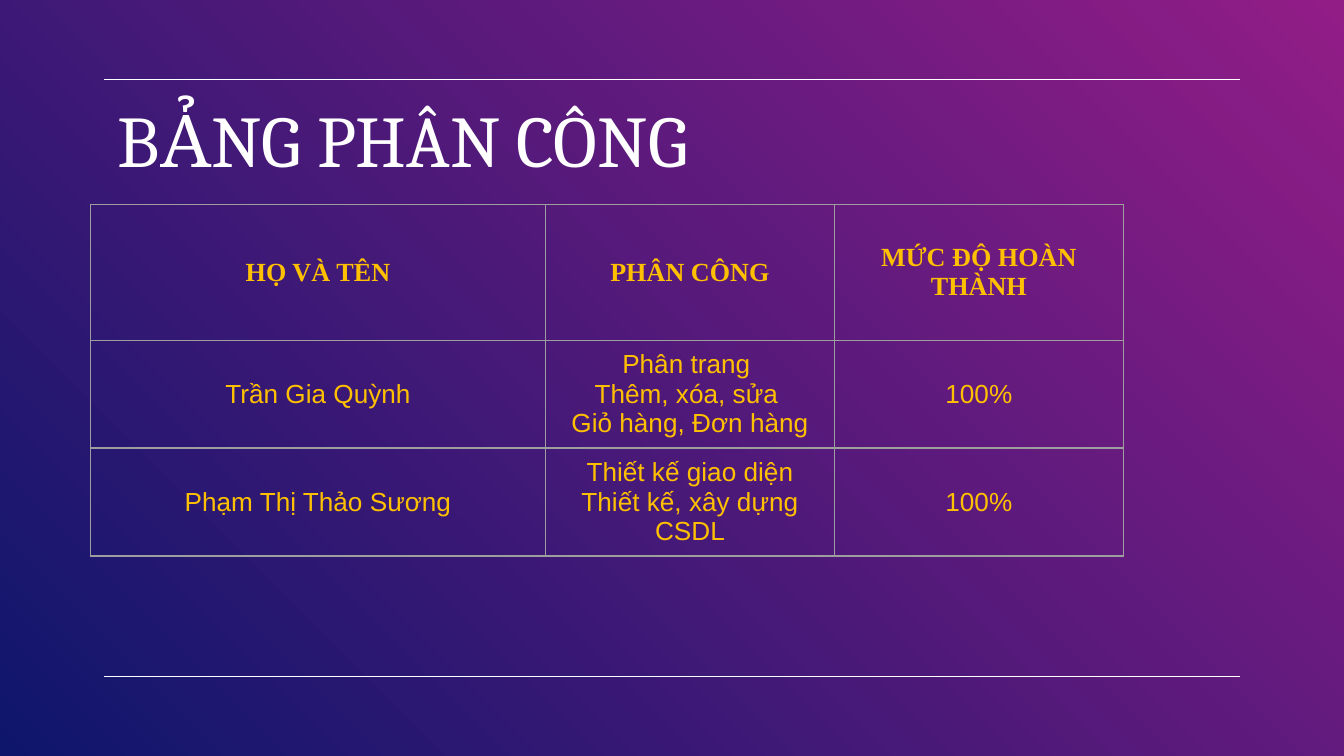
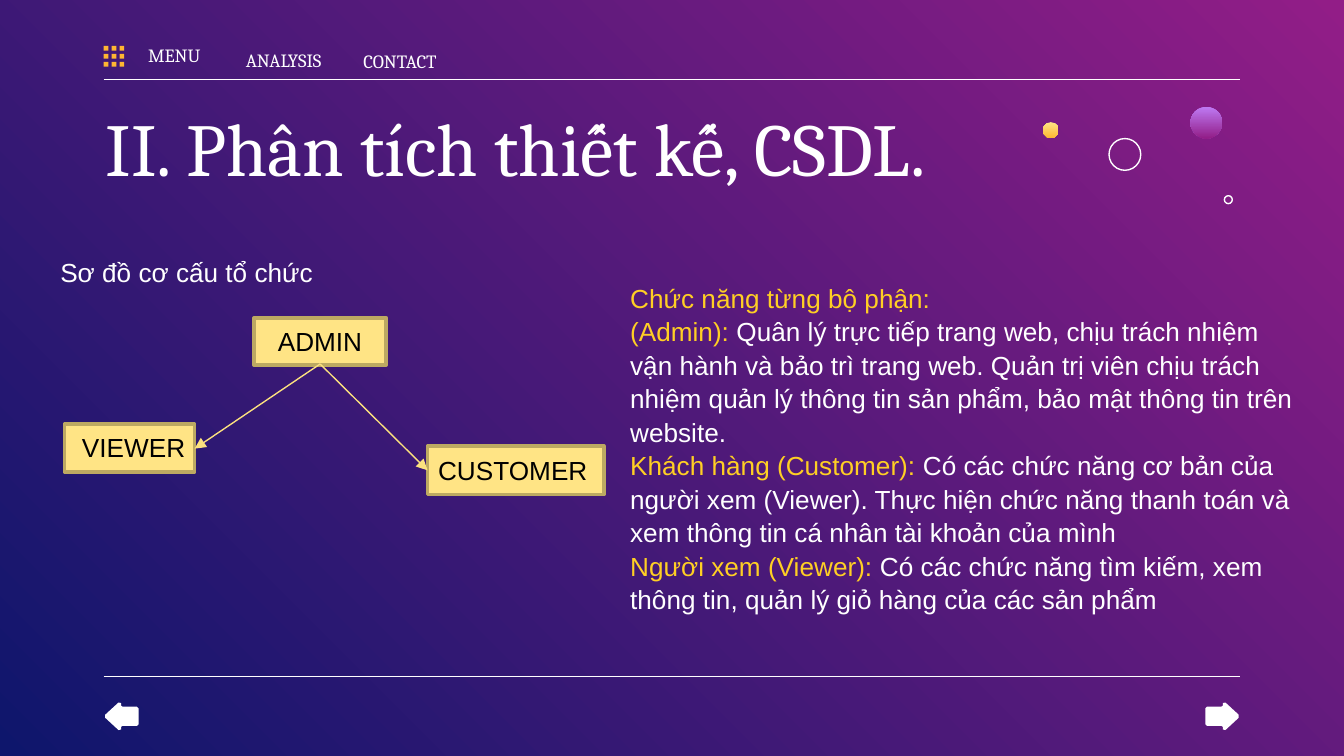
"""Build two slides: a task assignment table and an organisation diagram."""
import dataclasses
import itertools
import typing

import lxml.etree
import pptx
import pptx.dml.color
import pptx.dml.fill
import pptx.enum.shapes
import pptx.enum.text
import pptx.oxml.ns
import pptx.presentation
import pptx.shapes.autoshape
import pptx.shapes.connector
import pptx.slide
import pptx.util

Cm = pptx.util.Cm
Pt = pptx.util.Pt
qn = pptx.oxml.ns.qn
Slide = pptx.slide.Slide
ALIGN = pptx.enum.text.PP_ALIGN
ANCHOR = pptx.enum.text.MSO_ANCHOR
SHAPE = pptx.enum.shapes.MSO_SHAPE

COLORS = {
    "white": "FFFFFF", "black": "000000", "magenta": "921D87", "navy": "0E166C",
    "violet": "BE7AF3", "cream": "FFE485", "orange": "FFB632", "khaki": "BDA962",
    "arrow": "FCE17F", "heading": "FFCF24", "gold": "FFC000", "grey": "9E9E9E",
}
RULE_LEFT, RULE_RIGHT = 1.96, 23.44
NAV_MIDDLE = 13.54
ARROW_HALF = [(0, 0.15), (0.03, 0.18), (0.3, 0.18), (0.33, 0.2),
              (0.33, 0.25), (0.38, 0.26), (0.63, 0.03)]


@dataclasses.dataclass(frozen=True)
class Box:
    left: float
    top: float
    width: float
    height: float

    def emu(self) -> tuple[int, ...]:
        return tuple(Cm(v) for v in dataclasses.astuple(self))


@dataclasses.dataclass(frozen=True)
class Style:
    size: float
    font: str = "Arial"
    color: str = "white"
    bold: bool = False
    align: ALIGN = ALIGN.LEFT
    anchor: ANCHOR = ANCHOR.TOP
    inset: tuple[float, float] = (0.25, 0.13)
    spacing: float = 1.0


@dataclasses.dataclass(frozen=True)
class Label:
    text: str
    box: Box
    style: Style


@dataclasses.dataclass(frozen=True)
class Figure:
    kind: SHAPE
    box: Box
    fill: tuple[str, ...] = ()
    line: str = ""
    weight: float = 0.75


@dataclasses.dataclass(frozen=True)
class Link:
    start: tuple[float, float]
    end: tuple[float, float]
    color: str = "white"
    arrow: bool = False


TITLE = Style(40, "Cambria", inset=(0.25, 0.25))
MENU = Style(10, "Cambria", align=ALIGN.CENTER, anchor=ANCHOR.MIDDLE, inset=(0, 0.25))
NODE = Style(14, color="black")
BODY = Style(14)
HEAD_CELL = Style(14, "Times New Roman", "gold", True, ALIGN.CENTER, ANCHOR.MIDDLE)
BODY_CELL = dataclasses.replace(HEAD_CELL, font="Arial", bold=False)
NAME_CELL = dataclasses.replace(BODY_CELL, inset=(0.03, 0.03))

RULES = [Link((RULE_LEFT, y), (RULE_RIGHT, y)) for y in (1.5, 12.79)]

TASK_COLUMNS = (8.6, 5.46, 5.46)
TASK_ROWS = (2.56, 1.55, 1.55)
TASKS = [
    ("HỌ VÀ TÊN", "PHÂN CÔNG", "MỨC ĐỘ HOÀN THÀNH"),
    ("Trần Gia Quỳnh", "Phân trang \nThêm, xóa, sửa \nGiỏ hàng, Đơn hàng", "100%"),
    ("Phạm Thị Thảo Sương", "Thiết kế giao diện Thiết kế, xây dựng CSDL", "100%"),
]

BUBBLES = [
    Figure(SHAPE.OVAL, Box(20.96, 2.62, 0.6, 0.6), line="white"),
    Figure(SHAPE.OVAL, Box(19.71, 2.31, 0.3, 0.3), ("cream", "orange")),
    Figure(SHAPE.OVAL, Box(23.14, 3.7, 0.15, 0.15), line="white"),
    Figure(SHAPE.OVAL, Box(22.5, 2.02, 0.6, 0.6), ("violet", "magenta")),
]
MENU_DOTS = [
    Figure(SHAPE.RECTANGLE, Box(RULE_LEFT + 0.15 * col, 0.87 + 0.15 * row, 0.09, 0.09), ("orange",))
    for col, row in itertools.product(range(3), repeat=2)
]
NODES = [
    Figure(SHAPE.RECTANGLE, box, ("cream",), "khaki", 2)
    for box in (Box(4.8, 6.01, 2.5, 0.89), Box(1.22, 8.02, 2.46, 0.9), Box(8.08, 8.43, 3.33, 0.92))
]
LABELS = [
    Label("MENU", Box(2.57, 0.76, 1.45, 0.58), MENU),
    Label("ANALYSIS", Box(4.42, 0.89, 1.88, 0.48), MENU),
    Label("CONTACT", Box(6.71, 0.94, 1.7, 0.43), MENU),
    Label("ADMIN", Box(4.45, 6.02, 3.2, 0.86), dataclasses.replace(NODE, align=ALIGN.CENTER)),
    Label("VIEWER", Box(1.3, 8.03, 3.15, 0.86), NODE),
    Label("CUSTOMER", Box(8.03, 8.46, 3.38, 0.86), NODE),
    Label("Sơ đồ cơ cấu tổ chức", Box(0.89, 4.72, 5.56, 0.86), BODY),
]
ADMIN_FOOT = (6.05, 6.88)
ARROWS = [Link(ADMIN_FOOT, end, "arrow", True) for end in ((3.68, 8.48), (8.08, 8.89))]
ROLES = [
    ("Chức năng từng bộ phận:", ""),
    ("(Admin): ", "Quân lý trực tiếp trang web, chịu trách nhiệm vận hành và bảo trì trang web. "
     "Quản trị viên chịu trách nhiệm quản lý thông tin sản phẩm, bảo mật thông tin trên website."),
    ("Khách hàng (Customer): ", "Có các chức năng cơ bản của người xem (Viewer). "
     "Thực hiện chức năng thanh toán và xem thông tin cá nhân tài khoản của mình"),
    ("Người xem (Viewer): ", "Có các chức năng tìm kiếm, xem thông tin, "
     "quản lý giỏ hàng của các sản phẩm"),
]


def rgb(name: str) -> pptx.dml.color.RGBColor:
    return pptx.dml.color.RGBColor.from_string(COLORS[name])


def set_fill(fill: pptx.dml.fill.FillFormat, colors: tuple[str, ...], angle: float = 270) -> None:
    if not colors:
        fill.background()
    elif len(colors) == 1:
        fill.solid()
        fill.fore_color.rgb = rgb(colors[0])
    else:
        fill.gradient()
        fill.gradient_angle = angle
        for stop, color in zip(fill.gradient_stops, colors):
            stop.color.rgb = rgb(color)


def set_frame(target: typing.Any, style: Style) -> None:
    target.margin_left = target.margin_right = Cm(style.inset[0])
    target.margin_top = target.margin_bottom = Cm(style.inset[1])
    target.vertical_anchor = style.anchor


def write(tf: typing.Any, lines: list[list[tuple[str, str]]], style: Style) -> None:
    for i, parts in enumerate(lines):
        p = tf.add_paragraph() if i else tf.paragraphs[0]
        p.alignment = style.align
        p.line_spacing = style.spacing
        p.font.name, p.font.size, p.font.bold = style.font, Pt(style.size), style.bold
        mixed = len(parts) > 1
        if not mixed:
            p.font.color.rgb = rgb(parts[0][1])
        for text, color in parts:
            r = p.add_run()
            r.text = text
            if mixed:
                r.font.color.rgb = rgb(color)


def add_text(s: Slide, box: Box, lines: list[list[tuple[str, str]]], style: Style) -> None:
    tf = s.shapes.add_textbox(*box.emu()).text_frame
    tf.word_wrap = True
    set_frame(tf, style)
    write(tf, lines, style)


def add_label(s: Slide, label: Label) -> None:
    add_text(s, label.box, [[(label.text, label.style.color)]], label.style)


def add_figure(s: Slide, figure: Figure) -> None:
    sp = s.shapes.add_shape(figure.kind, *figure.box.emu())
    sp.shadow.inherit = False
    set_fill(sp.fill, figure.fill)
    if figure.line:
        sp.line.color.rgb = rgb(figure.line)
        sp.line.width = Pt(figure.weight)
    else:
        sp.line.fill.background()


def add_link(s: Slide, link: Link) -> None:
    ends = [Cm(v) for v in link.start + link.end]
    c = s.shapes.add_connector(pptx.enum.shapes.MSO_CONNECTOR.STRAIGHT, *ends)
    c.line.color.rgb = rgb(link.color)
    c.line.width = Pt(0.75)
    props = c.element.spPr
    if link.arrow:
        lxml.etree.SubElement(props.find(qn("a:ln")), qn("a:tailEnd"), type="triangle")
    lxml.etree.SubElement(props, qn("a:effectLst"))


def add_nav_arrow(s: Slide, tail: float, direction: int) -> None:
    outline = [(x, -y) for x, y in ARROW_HALF] + ARROW_HALF[::-1]
    points = [(Cm(tail + direction * x), Cm(NAV_MIDDLE + y)) for x, y in outline]
    builder = s.shapes.build_freeform(*points[0])
    builder.add_line_segments(points[1:])
    sp = builder.convert_to_shape()
    sp.shadow.inherit = False
    set_fill(sp.fill, ("white",))
    sp.line.fill.background()


def set_borders(cell: typing.Any) -> None:
    props = cell._tc.get_or_add_tcPr()
    for side in ("a:lnL", "a:lnR", "a:lnT", "a:lnB"):
        ln = lxml.etree.SubElement(props, qn(side), w=str(Pt(0.75)))
        solid = lxml.etree.SubElement(ln, qn("a:solidFill"))
        lxml.etree.SubElement(solid, qn("a:srgbClr"), val=COLORS["grey"])


def add_task_table(s: Slide) -> None:
    box = Box(1.71, 3.87, sum(TASK_COLUMNS), sum(TASK_ROWS))
    table = s.shapes.add_table(len(TASK_ROWS), len(TASK_COLUMNS), *box.emu()).table
    table.first_row = table.horz_banding = False
    for column, width in zip(table.columns, TASK_COLUMNS):
        column.width = Cm(width)
    for row, height in zip(table.rows, TASK_ROWS):
        row.height = Cm(height)
    for i, texts in enumerate(TASKS):
        for j, text in enumerate(texts):
            style = HEAD_CELL if i == 0 else NAME_CELL if j == 0 else BODY_CELL
            cell = table.cell(i, j)
            set_borders(cell)
            cell.fill.background()
            set_frame(cell, style)
            write(cell.text_frame, [[(line, style.color)] for line in text.split("\n")], style)


def add_slide(prs: pptx.presentation.Presentation, title: Label) -> Slide:
    s = prs.slides.add_slide(prs.slide_layouts[6])
    set_fill(s.background.fill, ("magenta", "navy"), 225)
    for rule in RULES:
        add_link(s, rule)
    add_label(s, title)
    return s


def build_assignment(prs: pptx.presentation.Presentation) -> None:
    style = dataclasses.replace(TITLE, size=39)
    s = add_slide(prs, Label("BẢNG PHÂN CÔNG", Box(1.98, 1.55, 21.44, 1.68), style))
    add_task_table(s)


def build_analysis(prs: pptx.presentation.Presentation) -> None:
    s = add_slide(prs, Label("II. Phân tích thiết kế, CSDL.", Box(1.75, 1.68, 21.44, 1.68), TITLE))
    for figure in BUBBLES + MENU_DOTS + NODES:
        add_figure(s, figure)
    add_nav_arrow(s, 22.78, 1)
    add_nav_arrow(s, 2.62, -1)
    for label in LABELS:
        add_label(s, label)
    for arrow in ARROWS:
        add_link(s, arrow)
    lines = [[(t, c) for t, c in ((role, "heading"), (duty, "white")) if t] for role, duty in ROLES]
    add_text(s, Box(11.66, 5.16, 13.03, 7.44), lines, dataclasses.replace(BODY, spacing=1.07))


def main() -> None:
    prs = pptx.Presentation()
    prs.slide_width, prs.slide_height = Cm(25.4), Cm(14.29)
    build_assignment(prs)
    build_analysis(prs)
    prs.save("out.pptx")


if __name__ == "__main__":
    main()
